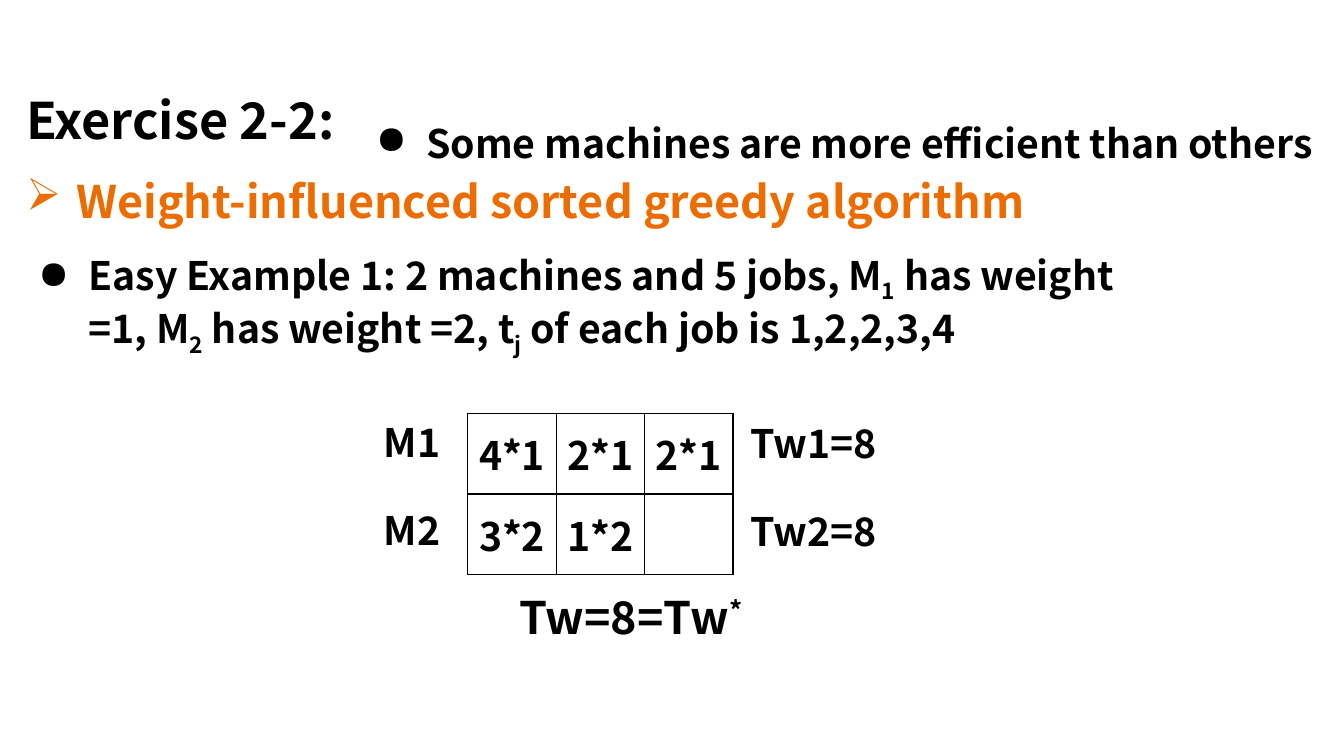
from lxml import etree
from pptx import Presentation
from pptx.dml.color import RGBColor
from pptx.enum.text import MSO_ANCHOR, MSO_AUTO_SIZE, PP_ALIGN
from pptx.oxml.ns import qn
from pptx.util import Inches, Pt

MIDDLE = MSO_ANCHOR.MIDDLE
GROW = MSO_AUTO_SIZE.SHAPE_TO_FIT_TEXT
CENTER = PP_ALIGN.CENTER
FONT = "Noto Sans CJK SC"
COLORS = {"ink": "000000", "accent": "ED6C00", "cell": "FFFFFF"}
JOBS = [["4*1", "2*1", "2*1"], ["3*2", "1*2", ""]]


def style(para, size, color="ink"):
    font = para.font
    font.name, font.size, font.bold = FONT, Pt(size), True
    font.color.rgb = RGBColor.from_string(COLORS[color])


def add_bullet(para, mark):
    """Give the paragraph a bullet with a hanging indent."""
    props = para._p.get_or_add_pPr()
    props.set("marL", str(Inches(0.5)))
    props.set("indent", str(-Inches(0.5)))
    bullet = etree.Element(qn("a:buChar"), char=mark)
    props.insert_element_before(bullet, "a:tabLst", "a:defRPr", "a:extLst")


def add_text(slide, box, parts, size, color="ink", mark=None, wrap=True):
    """Write one paragraph from (text, baseline percent) parts."""
    frame = slide.shapes.add_textbox(*map(Inches, box)).text_frame
    frame.word_wrap = wrap
    frame.auto_size = GROW
    para = frame.paragraphs[0]
    style(para, size, color)
    if mark:
        add_bullet(para, mark)
    for text, base in parts:
        run = para.add_run()
        run.text = text
        if base:
            run.font._element.set("baseline", str(base * 1000))


def add_border(cell):
    props = cell._tc.get_or_add_tcPr()
    for spot, side in enumerate(("lnL", "lnR", "lnT", "lnB")):
        line = etree.Element(qn("a:" + side), w=str(Pt(1)))
        fill = etree.SubElement(line, qn("a:solidFill"))
        etree.SubElement(fill, qn("a:srgbClr"), val=COLORS["ink"])
        props.insert(spot, line)


def add_jobs(slide, left, top, width, height):
    """Draw the schedule with machine names and weighted totals beside it."""
    frame = slide.shapes.add_table(len(JOBS), len(JOBS[0]),
                                   *map(Inches, (left, top, width, height)))
    table = frame.table
    table.first_row = table.horz_banding = False
    for r, row in enumerate(JOBS):
        for c, text in enumerate(row):
            cell = table.cell(r, c)
            cell.vertical_anchor = MIDDLE
            cell.fill.solid()
            cell.fill.fore_color.rgb = RGBColor.from_string(COLORS["cell"])
            add_border(cell)
            para = cell.text_frame.paragraphs[0]
            para.alignment = CENTER
            style(para, 28)
            if text:
                para.add_run().text = text
        y = top + r * 0.87
        add_text(slide, (left - 0.93, y, 0.85, 0.57),
                 [(f"M{r + 1}", 0)], 28, wrap=False)
        add_text(slide, (left + width + 0.07, y + 0.01, 1.55, 0.57),
                 [(f"Tw{r + 1}=8", 0)], 28, wrap=False)
    add_text(slide, (left + 0.41, top + height + 0.1, 2.42, 0.64),
             [("Tw=8=Tw", 0), ("*", 30)], 32, wrap=False)


def add_head(slide, left, top, width):
    add_text(slide, (left, top, width, 0.71), [("Exercise 2-2:", 0)], 36)
    add_text(slide, (left + 3.47, top + 0.3, 9.7, 0.57),
             [("Some machines are more efficient than others", 0)],
             28, mark="●")
    add_text(slide, (left, top + 0.84, width, 0.64),
             [("Weight-influenced sorted greedy algorithm", 0)],
             32, "accent", "➢")


def add_task(slide, *box):
    parts = [("Easy Example 1: 2 machines and 5 jobs, M", 0), ("1", -25),
             (" has weight =1, M", 0), ("2", -25),
             (" has weight =2, t", 0), ("j", -25),
             (" of each job is 1,2,2,3,4", 0)]
    add_text(slide, box, parts, 28, mark="●")


def main():
    deck = Presentation()
    deck.slide_width, deck.slide_height = Inches(13.33), Inches(7.5)
    slide = deck.slides.add_slide(deck.slide_layouts[6])
    add_head(slide, 0.16, 0.83, 11.61)
    add_task(slide, 0.28, 2.44, 11.36, 1.04)
    add_jobs(slide, 4.64, 4.1, 2.63, 1.6)
    deck.save("out.pptx")


if __name__ == "__main__":
    main()
